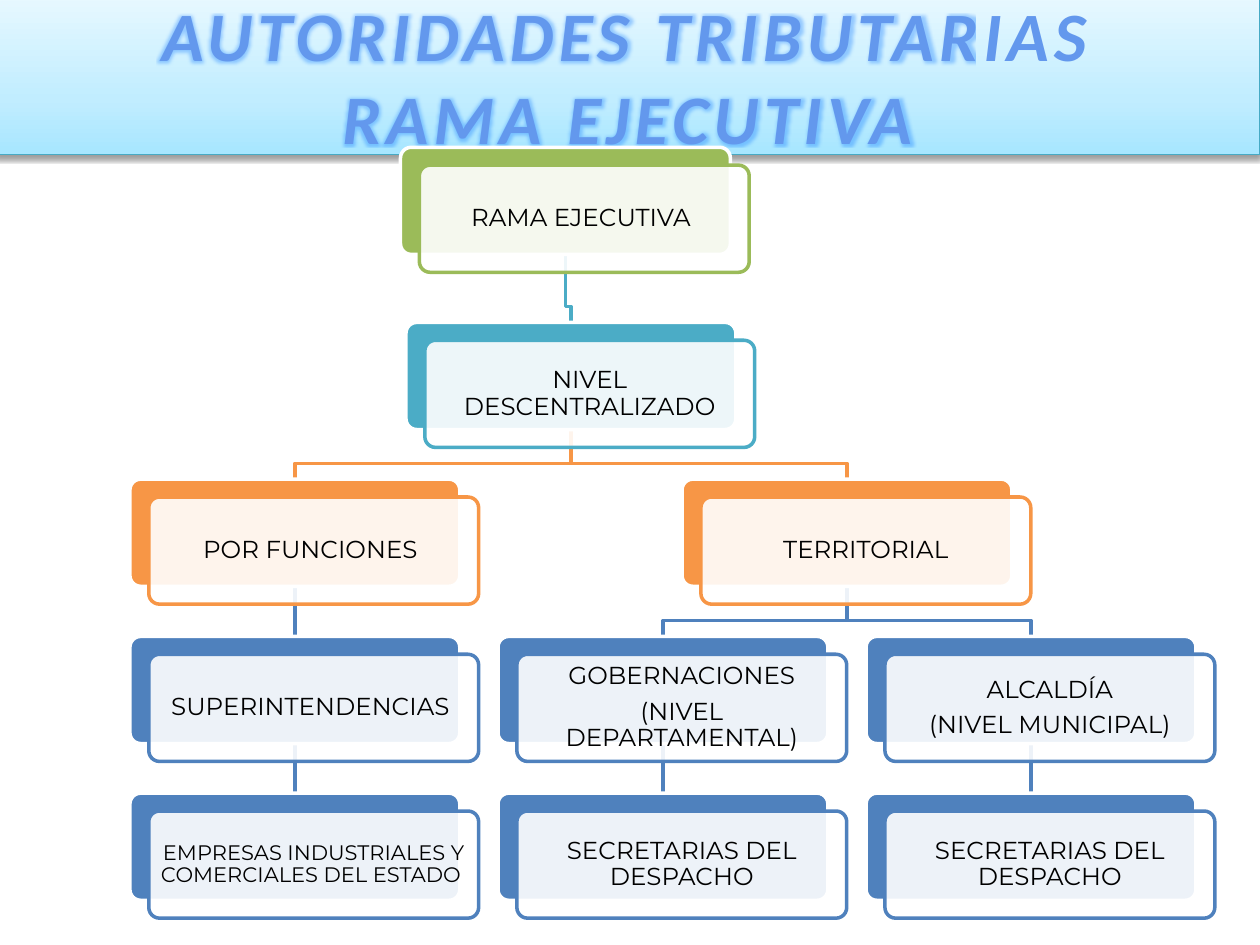
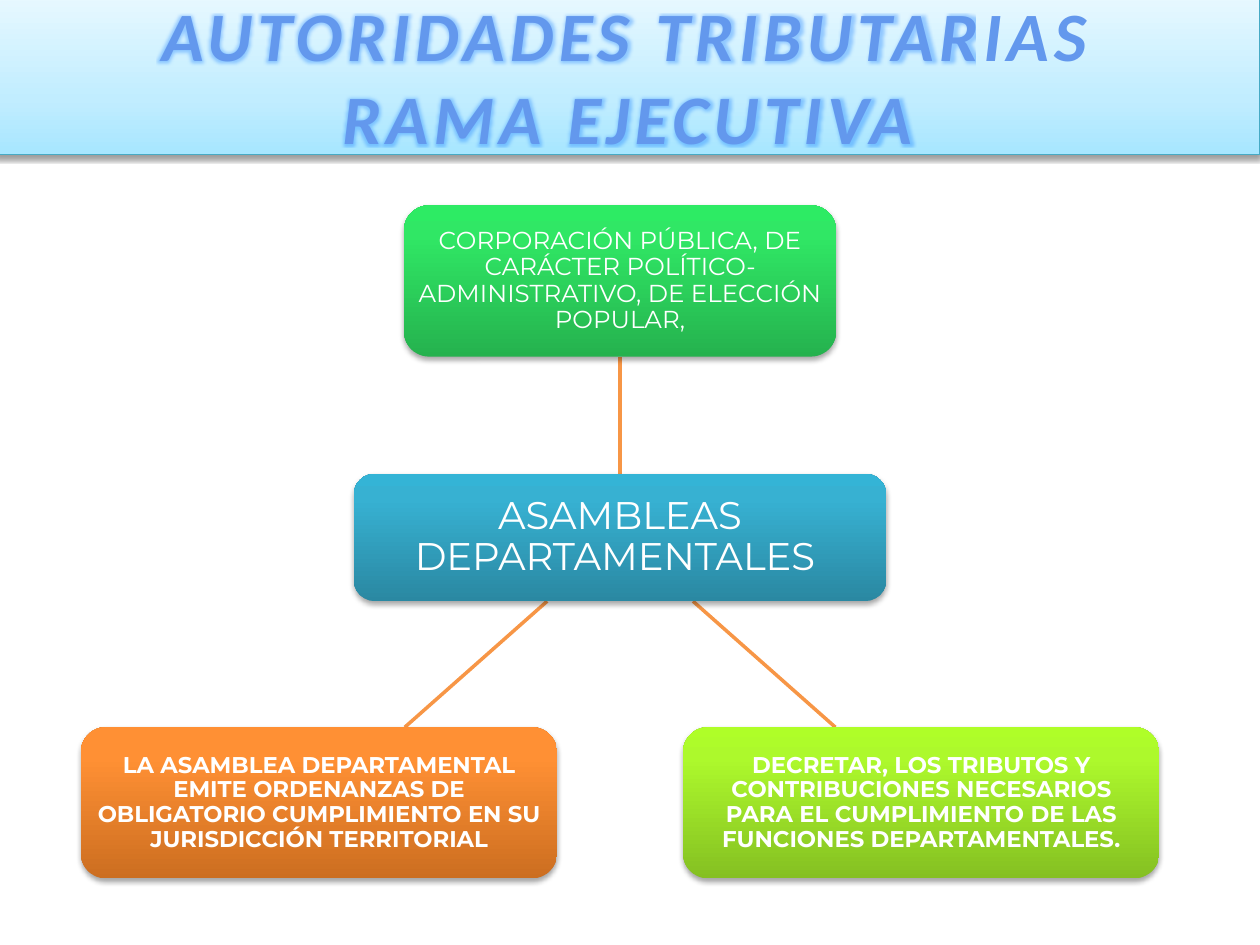
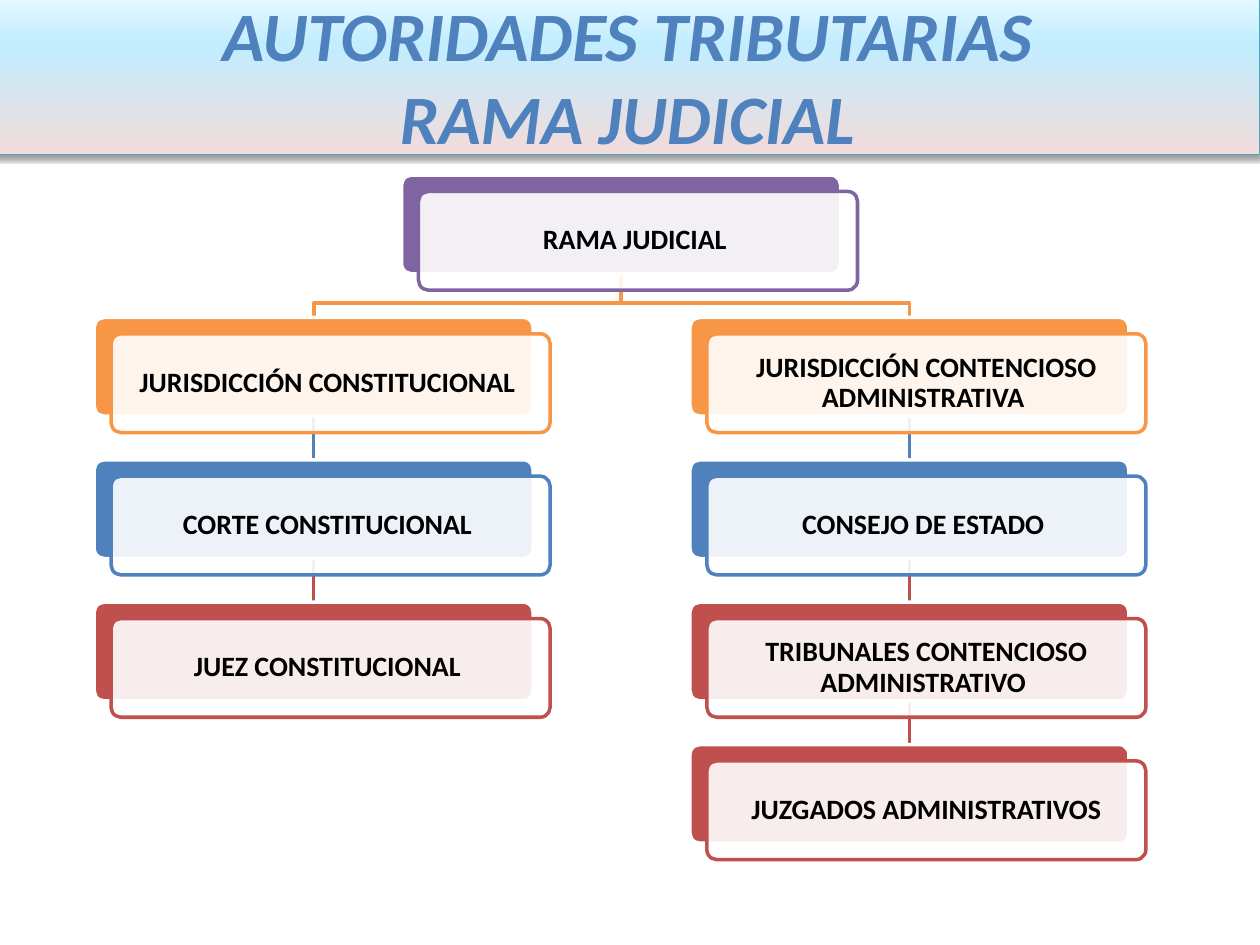
from pptx import Presentation
from pptx import util as u
from pptx.dml.color import RGBColor
from pptx.enum import shapes, text
from pptx.oxml import parse_xml
from pptx.oxml.ns import nsdecls, qn

Cm, Pt = u.Cm, u.Pt

# Content
COLORS = {
    "white": "FFFFFF", "black": "000000", "green": "9BBB59", "teal": "4BACC6",
    "orange": "F79646", "blue": "4F81BD", "red": "C0504D", "purple": "8064A2",
    "band_line": "46AAC5", "title_outline": "F4F6F9", "title_glow": "0D78FF",
}
SKY = [(0, "A7E6FF"), (35, "C1EDFF"), (100, "E7F8FF")]
ROSE_SKY = [(0, "F2DCDB"), (70, "C1EDFF"), (100, "E7F8FF")]
TITLE_BLUES = [(10, "6398ED"), (75, "265EA0")]
EXECUTIVE_TITLE = "AUTORIDADES TRIBUTARIAS\vRAMA EJECUTIVA"
JUDICIAL_TITLE = "AUTORIDADES TRIBUTARIAS\vRAMA JUDICIAL"

# Trees: name -> (text, column, row, colour, parent, font size)
EXECUTIVE = {
    "root": ("RAMA EJECUTIVA ", 0.735, 0, "green", None, 14),
    "level": ("NIVEL DESCENTRALIZADO", 0.75, 1, "teal", "root", 14),
    "functions": ("POR FUNCIONES ", 0, 2, "orange", "level", 14),
    "territory": ("TERRITORIAL", 1.5, 2, "orange", "level", 14),
    "supers": ("SUPERINTENDENCIAS ", 0, 3, "blue", "functions", 14),
    "companies": ("EMPRESAS INDUSTRIALES Y COMERCIALES DEL ESTADO ",
                  0, 4, "blue", "supers", 12),
    "governors": ("GOBERNACIONES\n(NIVEL DEPARTAMENTAL)", 1, 3, "blue", "territory", 14),
    "governor_offices": ("SECRETARIAS DEL DESPACHO", 1, 4, "blue", "governors", 14),
    "mayors": ("ALCALDÍA\n(NIVEL MUNICIPAL)", 2, 3, "blue", "territory", 14),
    "mayor_offices": ("SECRETARIAS DEL DESPACHO", 2, 4, "blue", "mayors", 14),
}
JUDICIAL = {
    "root": ("RAMA JUDICIAL ", 0.516, 0, "purple", None, 16),
    "constitutional": ("JURISDICCIÓN CONSTITUCIONAL ", 0, 1, "orange", "root", 16),
    "court": ("CORTE CONSTITUCIONAL ", 0, 2, "blue", "constitutional", 16),
    "judge": ("JUEZ CONSTITUCIONAL ", 0, 3, "red", "court", 16),
    "contentious": ("JURISDICCIÓN CONTENCIOSO ADMINISTRATIVA ", 1, 1, "orange", "root", 16),
    "council": ("CONSEJO DE ESTADO ", 1, 2, "blue", "contentious", 16),
    "tribunals": ("TRIBUNALES CONTENCIOSO ADMINISTRATIVO ", 1, 3, "red", "council", 16),
    "courts": ("JUZGADOS ADMINISTRATIVOS", 1, 4, "red", "tribunals", 16),
}
# Tree measures in cm
EXECUTIVE_GRID = {"left": 2.62, "col": 7.42, "tops": [2.97, 6.5, 9.66, 12.83, 15.99],
                  "size": (6.65, 2.16), "shift": (0.38, 0.36), "drop": 0.32,
                  "font": "Montserrat", "bold": False}
JUDICIAL_GRID = {"left": 1.9, "col": 12.01, "tops": [3.53 + 2.87 * i for i in range(5)],
                 "size": (8.85, 1.99), "shift": (0.34, 0.33), "drop": 0.29,
                 "font": "Calibri", "bold": True}

# Assembly boxes: text, centre offset, top, width, height, gradient, size, bold
AXIS = 12.5
ASSEMBLY = [
    ("ASAMBLEAS DEPARTAMENTALES ", 0, 9.55, 10.74, 2.57,
     [(0, "2A88A2"), (80, "37B1D2"), (100, "34B4D6")], 22, False),
    ("CORPORACIÓN PÚBLICA, DE CARÁCTER POLÍTICO-ADMINISTRATIVO, DE ELECCIÓN POPULAR,",
     0, 4.14, 8.71, 3.05, [(0, "25B24E"), (80, "30E765"), (100, "2DEB64")], 14, False),
    ("DECRETAR, LOS TRIBUTOS Y CONTRIBUCIONES NECESARIOS PARA EL CUMPLIMIENTO "
     "DE LAS FUNCIONES DEPARTAMENTALES.",
     6.07, 14.66, 9.6, 3.05, [(0, "85C022"), (80, "ADF92C"), (100, "AFFE28")], 13, True),
    ("LA ASAMBLEA DEPARTAMENTAL EMITE ORDENANZAS DE OBLIGATORIO CUMPLIMIENTO "
     "EN SU JURISDICCIÓN TERRITORIAL",
     -6.07, 14.66, 9.6, 3.05, [(0, "CC6E20"), (80, "FF9034"), (100, "FF9136")], 13, True),
]
SPOKES = [((0, 9.55), (0, 7.19)), ((1.47, 12.12), (4.34, 14.66)),
          ((-1.47, 12.12), (-4.34, 14.66))]


# Drawing helpers
def rgb(name):
    return RGBColor.from_string(COLORS[name])


def gradient(stops, angle):
    gs = "".join(f'<a:gs pos="{pos * 1000}"><a:srgbClr val="{color}"/></a:gs>'
                 for pos, color in stops)
    return parse_xml(f'<a:gradFill {nsdecls("a")} rotWithShape="1"><a:gsLst>{gs}</a:gsLst>'
                     f'<a:lin ang="{angle * 60000}" scaled="0"/></a:gradFill>')


def add_box(s, kind, x, y, w, h, line=None, weight=2.0):
    sp = s.shapes.add_shape(kind, Cm(x), Cm(y), Cm(w), Cm(h))
    sp.shadow.inherit = False
    if line:
        sp.line.color.rgb = rgb(line)
        sp.line.width = Pt(weight)
    else:
        sp.line.fill.background()
    return sp


def shade(sp, stops, alpha, distance):
    """Upward gradient fill with a soft shadow below."""
    spPr = sp._element.spPr
    sp.fill.background()
    spPr.replace(spPr.find(qn("a:noFill")), gradient(stops, 270))
    spPr.find(qn("a:effectLst")).append(parse_xml(
        f'<a:outerShdw {nsdecls("a")} blurRad="40000" dist="{distance}" dir="5400000" '
        f'rotWithShape="0"><a:srgbClr val="{COLORS["black"]}">'
        f'<a:alpha val="{alpha * 1000}"/></a:srgbClr></a:outerShdw>'))


def write(sp, words, font, size, color, bold, margin):
    tf = sp.text_frame
    tf.word_wrap = True
    tf.vertical_anchor = text.MSO_ANCHOR.MIDDLE
    tf.margin_left = tf.margin_right = tf.margin_top = tf.margin_bottom = Cm(margin)
    tf.text = words
    for p in tf.paragraphs:
        p.alignment = text.PP_ALIGN.CENTER
        p.line_spacing = 0.9
        p.space_after = Pt(0.35 * size)
        for r in p.runs:
            r.font.name, r.font.size, r.font.bold = font, Pt(size), bold
            r.font.color.rgb = rgb(color)


def add_line(s, points, color):
    """Straight connector for two points, open outline for more."""
    points = [(Cm(x), Cm(y)) for x, y in points]
    if len(points) == 2:
        sp = s.shapes.add_connector(shapes.MSO_CONNECTOR.STRAIGHT, *points[0], *points[1])
    else:
        builder = s.shapes.build_freeform(*points[0], scale=1.0)
        builder.add_line_segments(points[1:], close=False)
        sp = builder.convert_to_shape()
        sp.fill.background()
    sp.line.color.rgb = rgb(color)
    sp.line.width = Pt(2)
    sp._element.spPr.append(parse_xml(f'<a:effectLst {nsdecls("a")}/>'))


def add_title(s, words, stops, glowing):
    sp = add_box(s, shapes.MSO_SHAPE.RECTANGLE, -0.1, -0.08, 25.5, 3.2, "band_line", 0.75)
    shade(sp, stops, 38, 20000)
    tf = sp.text_frame
    tf.word_wrap = True
    tf.vertical_anchor = text.MSO_ANCHOR.MIDDLE
    tf.text = words
    p = tf.paragraphs[0]
    p.alignment = text.PP_ALIGN.CENTER
    for r in p.runs:
        r.font.name, r.font.size = "Calibri", Pt(39.6)
        r.font.bold = r.font.italic = True
        if not glowing:
            r.font.color.rgb = rgb("blue")
            continue
        rPr = r.font._element
        rPr.set("spc", "300")
        outline = parse_xml(f'<a:ln {nsdecls("a")} w="11430"><a:solidFill><a:srgbClr '
                            f'val="{COLORS["title_outline"]}"/></a:solidFill></a:ln>')
        glow = parse_xml(f'<a:effectLst {nsdecls("a")}><a:glow rad="45500"><a:srgbClr '
                         f'val="{COLORS["title_glow"]}"><a:alpha val="35000"/>'
                         '</a:srgbClr></a:glow></a:effectLst>')
        for i, part in enumerate([outline, gradient(TITLE_BLUES, 90), glow]):
            rPr.insert(i, part)


def add_tree(s, nodes, grid):
    w, h = grid["size"]
    dx, dy = grid["shift"]
    places = {name: (grid["left"] + col * grid["col"], grid["tops"][row])
              for name, (_, col, row, *_) in nodes.items()}
    # Branches lie behind the cards
    for name, (_, _, _, color, parent, _) in nodes.items():
        if parent:
            x1, y1 = places[parent][0] + w / 2, places[parent][1] + h
            x2, y2 = places[name][0] + w / 2, places[name][1]
            bend = y2 - grid["drop"]
            elbow = [] if x1 == x2 else [(x1, bend), (x2, bend)]
            add_line(s, [(x1, y1), *elbow, (x2, y2)], color)
    # A solid plate with a translucent card over it
    for name, (words, _, _, color, _, size) in nodes.items():
        x, y = places[name]
        plate = add_box(s, shapes.MSO_SHAPE.ROUNDED_RECTANGLE, x, y, w, h, "white")
        card = add_box(s, shapes.MSO_SHAPE.ROUNDED_RECTANGLE, x + dx, y + dy, w, h, color)
        for sp, fill in ((plate, color), (card, "white")):
            sp.adjustments[0] = 0.1
            sp.fill.solid()
            sp.fill.fore_color.rgb = rgb(fill)
        clr = card._element.spPr.find(qn("a:solidFill")).find(qn("a:srgbClr"))
        clr.append(parse_xml(f'<a:alpha {nsdecls("a")} val="90000"/>'))
        write(card, words, grid["font"], size, "black", grid["bold"], size * 0.0105)


def add_assembly(s):
    for ends in SPOKES:
        add_line(s, [(AXIS + x, y) for x, y in ends], "orange")
    for words, offset, top, w, h, stops, size, bold in ASSEMBLY:
        sp = add_box(s, shapes.MSO_SHAPE.ROUNDED_RECTANGLE, AXIS + offset - w / 2, top, w, h)
        shade(sp, stops, 35, 23000)
        write(sp, words, "Montserrat", size, "white", bold, size * 0.007)


def main():
    prs = Presentation()
    prs.slide_width, prs.slide_height = Cm(25.4), Cm(19.05)
    pages = [
        (EXECUTIVE_TITLE, SKY, True, lambda s: add_tree(s, EXECUTIVE, EXECUTIVE_GRID)),
        (EXECUTIVE_TITLE, SKY, True, add_assembly),
        (JUDICIAL_TITLE, ROSE_SKY, False, lambda s: add_tree(s, JUDICIAL, JUDICIAL_GRID)),
    ]
    for title, stops, glowing, draw in pages:
        s = prs.slides.add_slide(prs.slide_layouts[6])
        add_title(s, title, stops, glowing)
        draw(s)
    prs.save("out.pptx")


if __name__ == "__main__":
    main()
